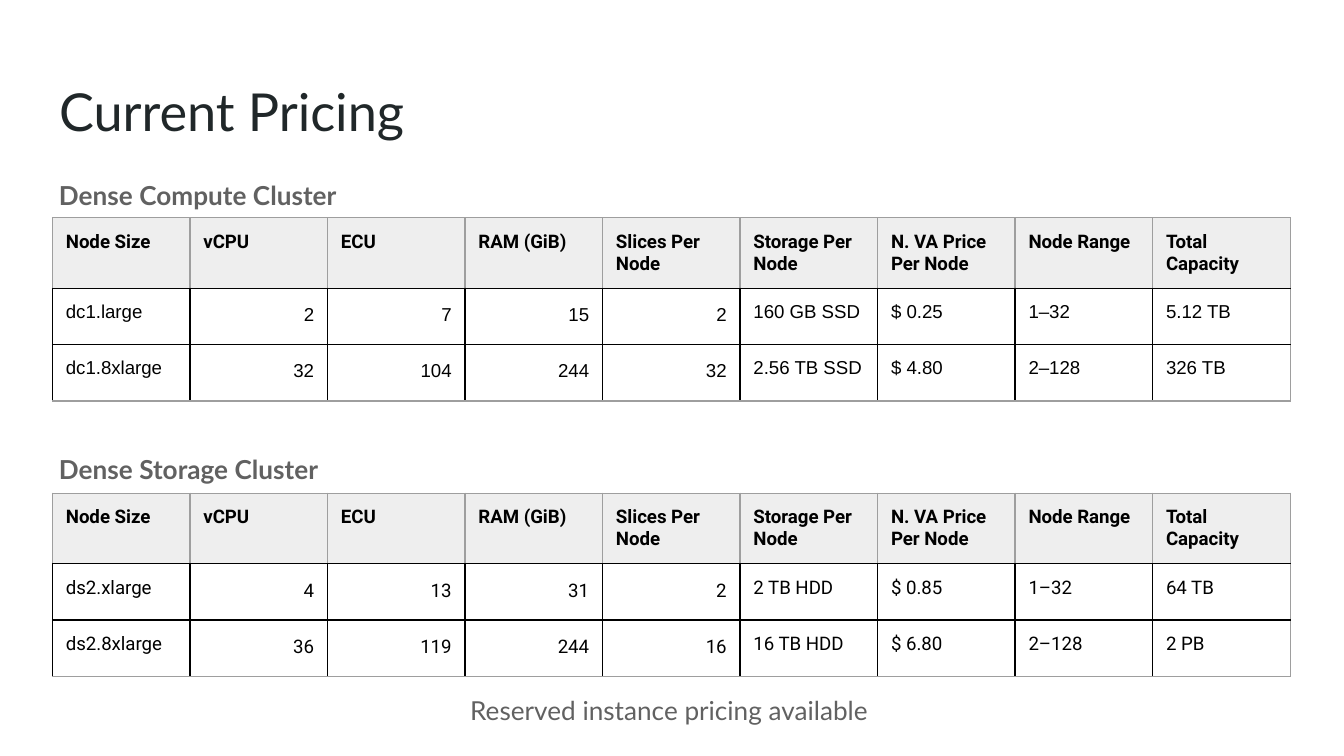
from dataclasses import dataclass

from lxml import etree
from pptx import Presentation
from pptx.dml.color import RGBColor
from pptx.enum import text
from pptx.oxml import ns
from pptx.util import Inches, Pt


@dataclass(frozen=True)
class Theme:
    ink: str = "202729"
    muted: str = "616161"
    black: str = "000000"
    grey: str = "9E9E9E"
    header: str = "EEEEEE"
    font: str = "Lato"
    table_font: str = "Roboto"
    title_size: float = 28
    body_size: float = 14
    cell_size: float = 10
    rule: float = 0.75
    inset: float = 0.1
    spacing: float = 1.15


T = Theme()
HEADERS = ["Node Size", "vCPU", "ECU", "RAM (GiB)", "Slices Per Node", "Storage Per Node",
           "N. VA Price Per Node", "Node Range", "Total Capacity"]
NUMERIC = range(1, 5)
ROW_HEIGHT = 0.42
COMPUTE = [
    ["dc1.large", "2", "7", "15", "2", "160 GB SSD", "$ 0.25", "1–32", "5.12 TB"],
    ["dc1.8xlarge", "32", "104", "244", "32", "2.56 TB SSD", "$ 4.80", "2–128", "326 TB"],
]
STORAGE = [
    ["ds2.xlarge", "4", "13", "31", "2", "2 TB HDD", "$ 0.85", "1–32", "64 TB"],
    ["ds2.8xlarge", "36", "119", "244", "16", "16 TB HDD", "$ 6.80", "2–128", "2 PB"],
]


def add_run(p, words, size, color, font, bold=False):
    r = p.add_run()
    r.text = words
    r.font.size = Pt(size)
    r.font.name = font
    r.font.bold = bold
    r.font.color.rgb = RGBColor.from_string(color)


def set_insets(obj):
    obj.margin_left = obj.margin_right = Inches(T.inset)
    obj.margin_top = obj.margin_bottom = Inches(T.inset)


def set_frame(tf):
    set_insets(tf)
    tf.word_wrap = True
    tf.auto_size = text.MSO_AUTO_SIZE.NONE
    tf.vertical_anchor = text.MSO_ANCHOR.TOP


def add_title(s, words, x, y, w, h):
    sp = s.shapes.title
    sp.left, sp.top, sp.width, sp.height = map(Inches, (x, y, w, h))
    set_frame(sp.text_frame)
    p = sp.text_frame.paragraphs[0]
    p.alignment = text.PP_ALIGN.LEFT
    add_run(p, words, T.title_size, T.ink, T.font)


def add_label(s, words, x, y, w, h, bold=False):
    sp = s.shapes.add_textbox(*map(Inches, (x, y, w, h)))
    set_frame(sp.text_frame)
    p = sp.text_frame.paragraphs[0]
    p.line_spacing = T.spacing
    p.space_after = Pt(16)
    add_run(p, words, T.body_size, T.muted, T.font, bold)


def set_borders(cell, **colors):
    tc_pr = cell._tc.get_or_add_tcPr()
    for side in "LRTB":
        ln = etree.SubElement(tc_pr, ns.qn(f"a:ln{side}"), w=str(Pt(T.rule)))
        fill = etree.SubElement(ln, ns.qn("a:solidFill"))
        etree.SubElement(fill, ns.qn("a:srgbClr"), val=colors[side])


def fill_cell(cell, words, is_header, is_number, font):
    set_insets(cell)
    cell.vertical_anchor = text.MSO_ANCHOR.TOP
    if is_header:
        cell.fill.solid()
        cell.fill.fore_color.rgb = RGBColor.from_string(T.header)
    else:
        cell.fill.background()
    p = cell.text_frame.paragraphs[0]
    if is_number:
        p.alignment = text.PP_ALIGN.RIGHT
        p.line_spacing = T.spacing
    add_run(p, words, T.cell_size, T.black, font, is_header)


def add_price_table(s, rows, x, y, w, font):
    grid = [HEADERS] + rows
    last_row, last_col = len(grid) - 1, len(HEADERS) - 1
    frame = s.shapes.add_table(len(grid), len(HEADERS), Inches(x), Inches(y),
                               Inches(w), Inches(ROW_HEIGHT * len(grid)))
    table = frame.table
    table.first_row = table.horz_banding = False
    for col in table.columns:
        col.width = Inches(w / len(HEADERS))
    for row in table.rows:
        row.height = Inches(ROW_HEIGHT)
    for i, values in enumerate(grid):
        is_header = i == 0
        inner = T.grey if is_header else T.black
        for j, words in enumerate(values):
            cell = table.cell(i, j)
            set_borders(cell, L=inner, T=inner,
                        R=T.grey if j == last_col else inner,
                        B=T.grey if i == last_row else T.black)
            fill_cell(cell, words, is_header, not is_header and j in NUMERIC,
                      T.table_font if is_header else font)


def add_cluster(s, name, rows, x, y, label_gap, font):
    add_label(s, name, x, y, 3.21, 0.35, bold=True)
    add_price_table(s, rows, x + 0.05, y + label_gap, 9.21, font)


def main():
    prs = Presentation()
    prs.slide_width = Inches(10)
    prs.slide_height = prs.slide_width * 9 // 16
    s = prs.slides.add_slide(prs.slide_layouts[5])
    add_title(s, "Current Pricing", 0.34, 0.49, 9.32, 0.63)
    add_cluster(s, "Dense Compute Cluster", COMPUTE, 0.34, 1.2, 0.42, "Arial")
    add_cluster(s, "Dense Storage Cluster", STORAGE, 0.34, 3.24, 0.43, T.table_font)
    add_label(s, "Reserved instance pricing available", 3.4, 5.03, 3.21, 0.44)
    prs.save("out.pptx")


if __name__ == "__main__":
    main()
